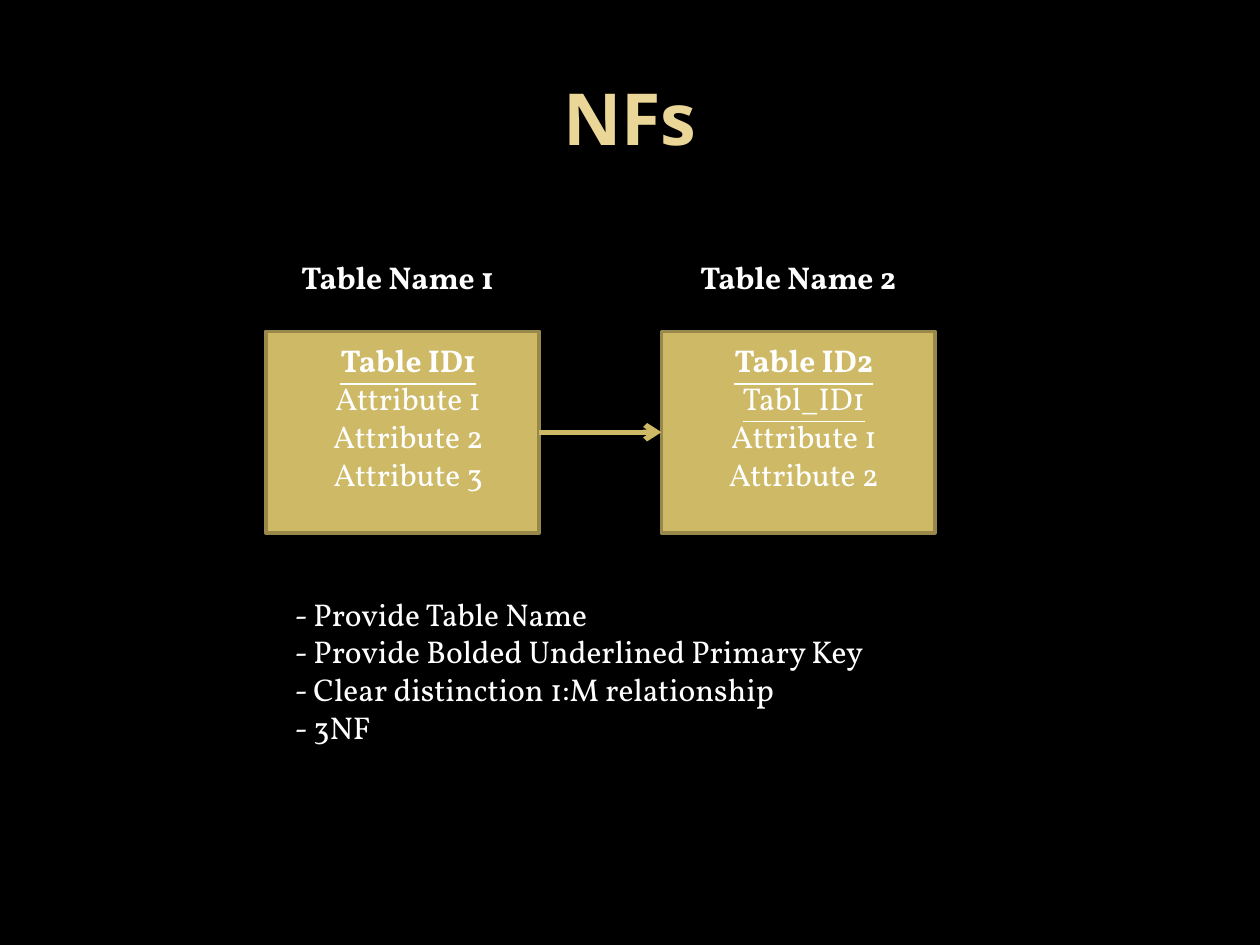
from pptx import Presentation
from pptx.dml.color import RGBColor
from pptx.enum.shapes import MSO_CONNECTOR, MSO_SHAPE
from pptx.enum.text import MSO_ANCHOR, PP_ALIGN
from pptx.oxml.ns import qn
from pptx.util import Inches, Pt
from lxml.etree import SubElement

BLACK = RGBColor(0x00, 0x00, 0x00)
WHITE = RGBColor(0xFF, 0xFF, 0xFF)
GOLD = RGBColor(0xCE, 0xB9, 0x66)
DARK_GOLD = RGBColor(0x98, 0x89, 0x4B)
PALE_GOLD = RGBColor(0xEA, 0xD6, 0x96)

ENTITY_TOP, ENTITY_WIDTH, ENTITY_HEIGHT = 2.63, 2.17, 1.6
# left edge, left edge of name, name, (field, bold, underlined)
ENTITIES = [
    (2.11, 2.24, "Table Name 1", [
        ("Table ID1", True, True),
        ("Attribute 1", False, False),
        ("Attribute 2", False, False),
        ("Attribute 3", False, False),
    ]),
    (5.25, 5.42, "Table Name 2", [
        ("Table ID2", True, True),
        ("Tabl_ID1", False, True),
        ("Attribute 1", False, False),
        ("Attribute 2", False, False),
    ]),
]
REQUIREMENTS = [
    "- Provide Table Name",
    "- Provide Bolded Underlined Primary Key",
    "- Clear distinction 1:M relationship",
    "- 3NF",
]


def add_text(slide, left, top, width, height, lines, align=PP_ALIGN.CENTER,
             font="Vollkorn", size=18, color=WHITE, anchor=MSO_ANCHOR.TOP):
    """Add one paragraph for each (text, bold, underlined) line."""
    box = slide.shapes.add_textbox(
        Inches(left), Inches(top), Inches(width), Inches(height))
    frame = box.text_frame
    frame.word_wrap = True
    frame.vertical_anchor = anchor
    for index, (text, bold, underlined) in enumerate(lines):
        paragraph = frame.add_paragraph() if index else frame.paragraphs[0]
        paragraph.alignment = align
        run = paragraph.add_run()
        run.text = text
        run.font.name = font
        run.font.size = Pt(size)
        run.font.bold = bold
        run.font.underline = underlined
        run.font.color.rgb = color


def add_entity(slide, left, name_left, name, fields):
    entity = slide.shapes.add_shape(
        MSO_SHAPE.RECTANGLE, Inches(left), Inches(ENTITY_TOP),
        Inches(ENTITY_WIDTH), Inches(ENTITY_HEIGHT))
    entity.shadow.inherit = False
    entity.fill.solid()
    entity.fill.fore_color.rgb = GOLD
    entity.line.color.rgb = DARK_GOLD
    entity.line.width = Pt(2)
    add_text(slide, left + 0.3, 2.66, 1.66, 1.31, fields)
    add_text(slide, name_left, 2, 1.83, 0.4, [(name, True, False)])
    return entity


def add_relationship(slide, parent, child):
    """Draw an arrow from the parent's right side to the child's left side."""
    arrow = slide.shapes.add_connector(MSO_CONNECTOR.STRAIGHT, 0, 0, 0, 0)
    arrow.begin_connect(parent, 3)
    arrow.end_connect(child, 1)
    arrow.line.color.rgb = GOLD
    arrow.line.width = Pt(3)
    SubElement(arrow.line._get_or_add_ln(), qn("a:tailEnd"), type="arrow")
    SubElement(arrow._element.spPr, qn("a:effectLst"))


def main():
    presentation = Presentation()
    presentation.slide_width = Inches(10)
    presentation.slide_height = Inches(7.5)
    slide = presentation.slides.add_slide(presentation.slide_layouts[6])
    slide.background.fill.solid()
    slide.background.fill.fore_color.rgb = BLACK

    add_text(slide, 0.5, 0.3, 9, 1.25, [("NFs", True, False)],
             font="Noto Sans", size=41, color=PALE_GOLD,
             anchor=MSO_ANCHOR.MIDDLE)
    parent, child = [add_entity(slide, *entity) for entity in ENTITIES]
    add_relationship(slide, parent, child)
    add_text(slide, 2.24, 4.67, 5.26, 1.62,
             [(text, False, False) for text in REQUIREMENTS],
             align=PP_ALIGN.LEFT)
    presentation.save("out.pptx")


if __name__ == "__main__":
    main()
